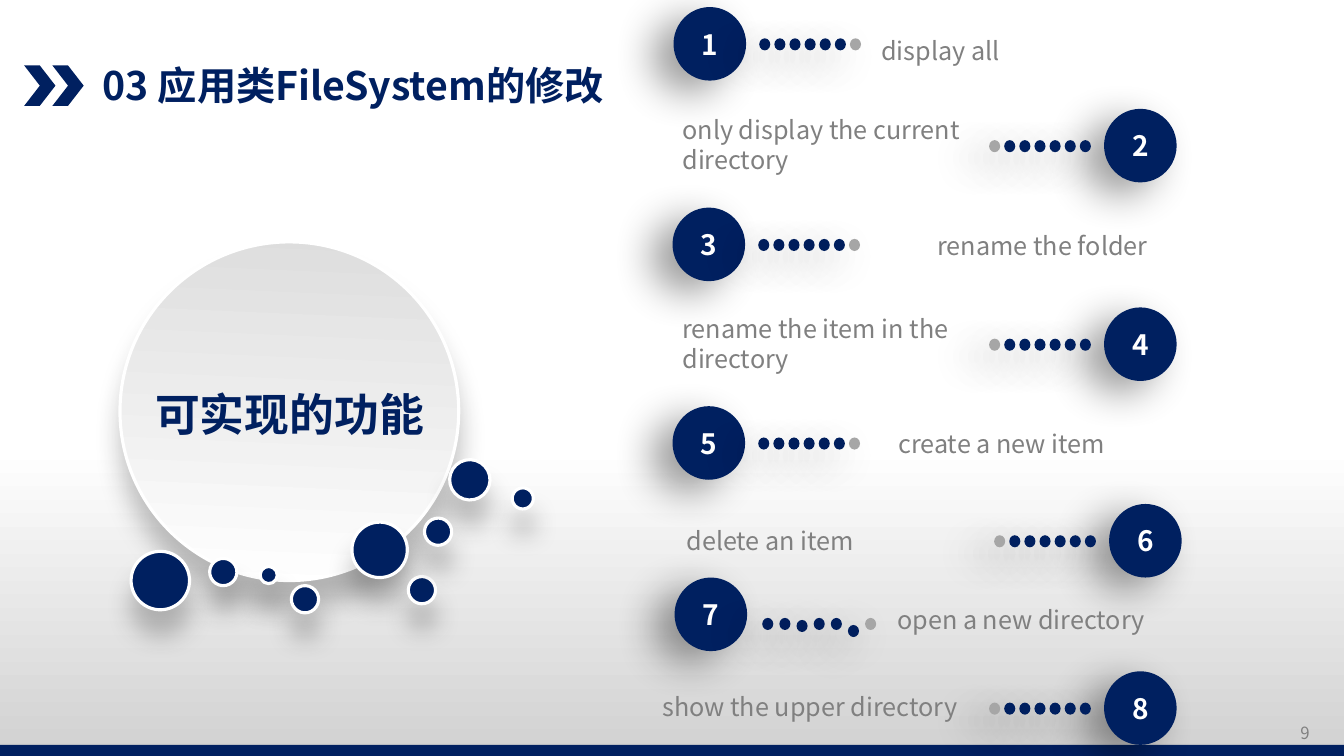
import pptx
import pptx.util
import pptx.dml.color
import pptx.enum.shapes
import pptx.enum.text
import pptx.oxml
import pptx.oxml.ns

Inches, Pt = pptx.util.Inches, pptx.util.Pt
RGBColor = pptx.dml.color.RGBColor
SHAPE = pptx.enum.shapes.MSO_SHAPE
ANCHOR = pptx.enum.text.MSO_ANCHOR
ALIGN = pptx.enum.text.PP_ALIGN

NAVY = RGBColor(0x00, 0x20, 0x60)
WHITE = RGBColor(0xFF, 0xFF, 0xFF)
GRAY = RGBColor(0x80, 0x80, 0x80)
DOT_GRAY = RGBColor(0xA6, 0xA6, 0xA6)
SILVER = RGBColor(0xDD, 0xDD, 0xDD)
FLOOR = RGBColor(0xD1, 0xD1, 0xD1)
SANS, BODY = "Noto Sans CJK SC", "Calibri"

TITLE = "03 应用类FileSystem的修改"
HUB = "可实现的功能"
PAGE = "9"
# label, badge left, badge top, label left, label top
STEPS = [
    ("display all", 6.68, 0.07, 8.64, 0.3),
    ("only display the current directory", 10.95, 1.08, 6.67, 1.09),
    ("rename the folder", 6.67, 2.06, 9.2, 2.24),
    ("rename the item in the directory", 10.95, 3.05, 6.67, 3.06),
    ("create a new item", 6.67, 4.03, 8.81, 4.2),
    ("delete an item", 11, 5, 6.71, 5.16),
    ("open a new directory", 6.69, 5.73, 8.8, 5.95),
    ("show the upper directory", 10.95, 6.66, 6.47, 6.81),
]
# left, top, diameter
BUBBLES = [
    (2.58, 5.62, 0.17), (2.89, 5.81, 0.27), (3.49, 5.18, 0.55),
    (4.05, 5.72, 0.27), (4.46, 4.56, 0.4), (5.08, 4.84, 0.21),
    (4.21, 5.14, 0.27), (1.3, 5.47, 0.58), (2.08, 5.54, 0.27),
]
# colour, alpha %, blur pt, distance pt, direction
STEP_SHADOW = ("000000", 40, 30, 17, 150)
BUBBLE_SHADOW = ("262626", 28, 18, 18, 90)

BADGE_W, BADGE_H = 0.72, 0.73
DOT_W, DOT_H, DOTS = 0.11, 0.12, 7
# pitch, distance from badge to first dot, drop below badge top, extra drops
EVEN_TRAIL = (0.15, 0.13, 0.31, [0] * DOTS)
UNEVEN_TRAIL = (0.17, 0.15, 0.4, [0, 0, 0.02, 0, 0, 0.07, 0])

prs = pptx.Presentation()
prs.slide_width, prs.slide_height = Inches(13.33), Inches(7.5)
s = prs.slides.add_slide(prs.slide_layouts[5])


def fade(fill, top, bottom, start=0.0):
    """Vertical gradient from top to bottom colour."""
    fill.gradient()
    fill.gradient_angle = 270
    for stop, color, pos in zip(fill.gradient_stops, (top, bottom), (start, 1.0)):
        stop.color.rgb, stop.position = color, pos


def add_shadow(sp, color, alpha, blur, dist, angle):
    sp.shadow.inherit = False
    effects = sp._element.spPr.find(pptx.oxml.ns.qn("a:effectLst"))
    effects.append(pptx.oxml.parse_xml(
        f'<a:outerShdw {pptx.oxml.ns.nsdecls("a")} blurRad="{Pt(blur)}" '
        f'dist="{Pt(dist)}" dir="{angle * 60000}" algn="ctr" rotWithShape="0">'
        f'<a:srgbClr val="{color}"><a:alpha val="{alpha * 1000}"/></a:srgbClr>'
        '</a:outerShdw>'))


def add_shape(kind, left, top, width, height, color=NAVY, shadow=None):
    sp = s.shapes.add_shape(kind, *map(Inches, (left, top, width, height)))
    sp.shadow.inherit = False
    sp.fill.solid()
    sp.fill.fore_color.rgb = color
    sp.line.fill.background()
    if shadow:
        add_shadow(sp, *shadow)
    return sp


def add_bubble(left, top, size):
    sp = add_shape(SHAPE.OVAL, left, top, size, size, shadow=BUBBLE_SHADOW)
    sp.rotation = 2.5
    sp.line.color.rgb = WHITE
    sp.line.width = Pt(2.25)
    return sp


def write(tf, text, size, color, bold=False, font=SANS, align=ALIGN.LEFT):
    p = tf.paragraphs[0]
    p.alignment = align
    r = p.add_run()
    r.text = text
    for name, value in {"size": Pt(size), "bold": bold, "name": font}.items():
        setattr(r.font, name, value)
    r.font.color.rgb = color
    r.font._element.find(pptx.oxml.ns.qn("a:latin")).addnext(pptx.oxml.parse_xml(
        f'<a:ea {pptx.oxml.ns.nsdecls("a")} typeface="{SANS}"/>'))
    return p


def add_text(left, top, width, height, *args, wrap=True, anchor=ANCHOR.TOP, **kw):
    tf = s.shapes.add_textbox(*map(Inches, (left, top, width, height))).text_frame
    tf.word_wrap, tf.vertical_anchor = wrap, anchor
    return write(tf, *args, **kw)


def add_step(number, label, left, top, label_left, label_top):
    badge = add_shape(SHAPE.OVAL, left, top, BADGE_W, BADGE_H, shadow=STEP_SHADOW)
    tf = badge.text_frame
    tf.vertical_anchor = ANCHOR.MIDDLE
    for side in ("left", "right", "top", "bottom"):
        setattr(tf, f"margin_{side}", 0)
    write(tf, str(number), 20, WHITE, bold=True, align=ALIGN.CENTER)

    pitch, gap, drop, extras = UNEVEN_TRAIL if number == 7 else EVEN_TRAIL
    for i, extra in enumerate(extras):
        if number % 2:
            x = left + BADGE_W + gap + i * pitch
        else:
            x = left - gap - DOT_W - i * pitch
        add_shape(SHAPE.OVAL, x, top + drop + extra, DOT_W, DOT_H,
                  DOT_GRAY if i == DOTS - 1 else NAVY, STEP_SHADOW)

    width = 3.36 if number == len(STEPS) else 3.02
    p = add_text(label_left, label_top, width, 0.4, label, 18, GRAY)
    p.line_spacing = Pt(21.5)


fade(s.background.fill, WHITE, FLOOR, start=0.59)
add_text(12.8, 7.12, 0.51, 0.29, PAGE, 12, GRAY, anchor=ANCHOR.MIDDLE)
add_shape(SHAPE.RECTANGLE, 0, 7.39, 13.33, 0.11)
for col in range(2):
    add_shape(SHAPE.CHEVRON, 0.24 + 0.28 * col, 0.65, 0.31, 0.4)

title = s.shapes.title
title.left, title.top, title.width, title.height = map(Inches, (0.92, 0.56, 9.21, 0.57))
title.text_frame.vertical_anchor = ANCHOR.MIDDLE
write(title.text_frame, TITLE, 28, NAVY, bold=True)

fade(add_bubble(1.19, 2.4, 3.36).fill, SILVER, WHITE)
add_text(1.44, 3.78, 2.89, 0.64, HUB, 32, NAVY, bold=True, font=BODY,
         wrap=False, anchor=ANCHOR.MIDDLE)
for bubble in BUBBLES:
    add_bubble(*bubble)
for number, step in enumerate(STEPS, 1):
    add_step(number, *step)

prs.save("out.pptx")
